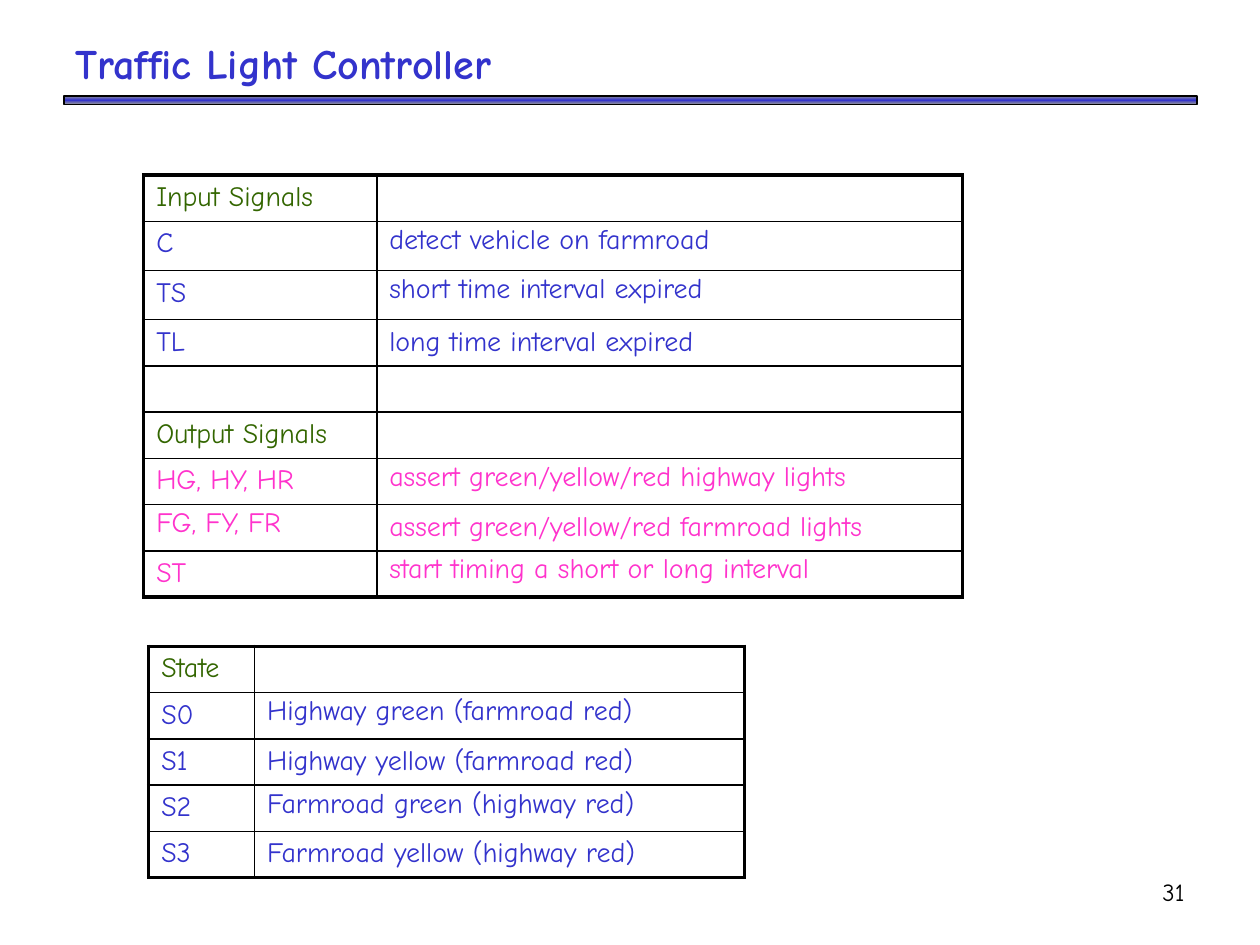
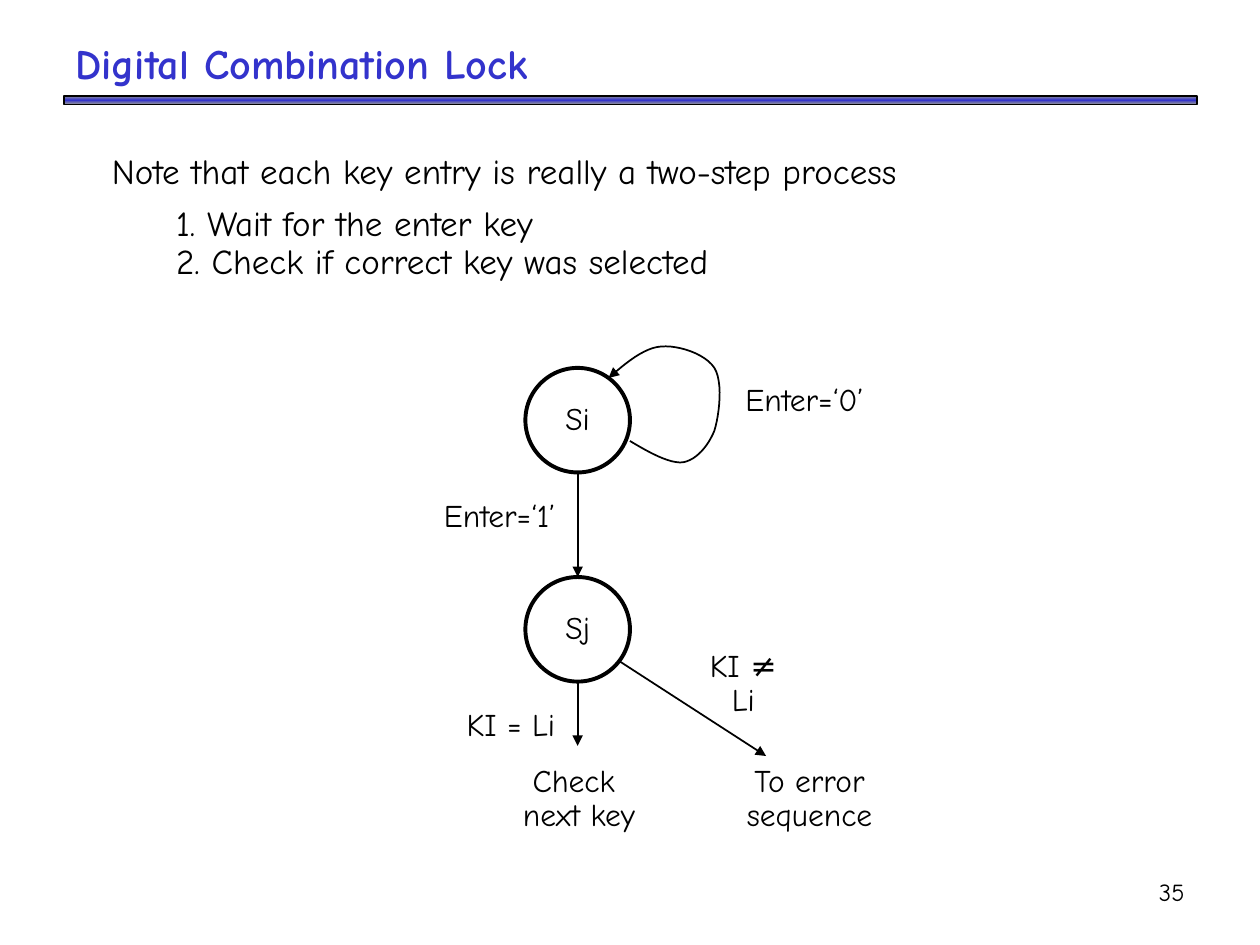
from copy import deepcopy

from lxml import etree
from pptx import Presentation
from pptx.dml.color import RGBColor
from pptx.enum.shapes import MSO_CONNECTOR, MSO_SHAPE
from pptx.enum.text import MSO_ANCHOR, PP_ALIGN
from pptx.oxml.ns import qn
from pptx.util import Inches, Pt

STRAIGHT = MSO_CONNECTOR.STRAIGHT
RECTANGLE, OVAL = MSO_SHAPE.RECTANGLE, MSO_SHAPE.OVAL
MIDDLE = MSO_ANCHOR.MIDDLE
LEFT, CENTER, RIGHT = PP_ALIGN.LEFT, PP_ALIGN.CENTER, PP_ALIGN.RIGHT

FONT = "Comic Neue"
COLORS = {"blue": "3333CC", "green": "336600", "pink": "FF33CC",
          "black": "000000", "white": "FFFFFF", "gray": "969696"}
TITLE_ONLY = 5
THICK, THIN = 2.25, 1
TIGHT = 0.85  # line spacing of the cells that sit a little higher

# Table rows: colour, height, texts, columns with tight line spacing
SIGNALS = {
    "at": (1.14, 1.39), "columns": (1.85, 4.65),
    "rows": [
        ("green", 0.33, ("Input Signals", ""), ()),
        ("blue", 0.39, ("C", "detect vehicle on farmroad"), (1,)),
        ("blue", 0.39, ("TS", "short time interval expired"), (1,)),
        ("blue", 0.33, ("TL", "long time interval expired"), ()),
        ("blue", 0.33, ("", ""), ()),
        ("green", 0.33, ("Output Signals", ""), ()),
        ("pink", 0.33, ("HG, HY, HR", "assert green/yellow/red highway lights"), (1,)),
        ("pink", 0.33, ("FG, FY, FR", "assert green/yellow/red farmroad lights"), (0,)),
        ("pink", 0.33, ("ST", "start timing a short or long interval"), (1,)),
    ],
}
STATES = {
    "at": (1.18, 5.13), "columns": (0.84, 3.89),
    "rows": [
        ("green", 0.33, ("State", ""), ()),
        ("blue", 0.34, ("S0", "Highway green (farmroad red)"), (1,)),
        ("blue", 0.33, ("S1", "Highway yellow (farmroad red)"), ()),
        ("blue", 0.34, ("S2", "Farmroad green (highway red)"), (1,)),
        ("blue", 0.33, ("S3", "Farmroad yellow (highway red)"), ()),
    ],
}

NOTE = "Note that each key entry is really a two-step process"
STEPS = ["1. Wait for the enter key", "2. Check if correct key was selected"]
STATE_LEFT, STATE_SIZE = 4.17, 0.83
STATE_TOPS = {"Si": 2.92, "Sj": 4.58}
# Labels: lines, box, whether the text wraps
LABELS = [
    (["Enter=‘0’"], (5.77, 3, 1.23, 0.37), False),
    (["Enter=‘1’"], (3.37, 3.92, 1.19, 0.37), False),
    (["KI = Li"], (3.57, 5.58, 0.97, 0.37), False),
    (["KI ≠ Li"], (5.5, 5.25, 0.8, 0.37), True),
    (["To error", "sequence"], (5.8, 6.02, 1.25, 0.64), False),
    (["Check ", "next key"], (3.99, 6.02, 1.21, 0.64), False),
]
LOOP_START = (5, 3.5)
LOOP_CURVES = [  # two control points and an end point each
    ((5.15, 3.59), (5.31, 3.68), (5.42, 3.67)),
    ((5.53, 3.65), (5.62, 3.54), (5.67, 3.42)),
    ((5.71, 3.29), (5.74, 3.03), (5.67, 2.92)),
    ((5.6, 2.81), (5.39, 2.74), (5.25, 2.75)),
    ((5.11, 2.76), (4.97, 2.88), (4.83, 3)),
]
CURVE_STEPS = 12


def rgb(color):
    return RGBColor.from_string(COLORS[color])


def inches(values):
    return [Inches(value) for value in values]


def write(paragraph, text, size, color="black", bold=False, **paragraph_format):
    run = paragraph.add_run()
    run.text = text
    run.font.color.rgb = rgb(color)
    for name, value in {"name": FONT, "size": Pt(size), "bold": bold}.items():
        setattr(run.font, name, value)
    for name, value in paragraph_format.items():
        setattr(paragraph, name, value)


def write_lines(frame, lines, size, wrap=True, **paragraph_format):
    frame.word_wrap = wrap
    frame.vertical_anchor = MIDDLE
    for index, line in enumerate(lines):
        paragraph = frame.add_paragraph() if index else frame.paragraphs[0]
        write(paragraph, line, size, **paragraph_format)


def set_line(shape, width):
    shape.line.color.rgb = rgb("black")
    shape.line.width = Pt(width)


def add_arrowhead(shape):
    line = shape._element.spPr.find(qn("a:ln"))
    etree.SubElement(line, qn("a:tailEnd"), type="triangle")


def add_band(slide):
    band = slide.shapes.add_shape(RECTANGLE, *inches((0.51, 0.76, 8.99, 0.07)))
    band.shadow.inherit = False
    set_line(band, THIN)
    band.fill.gradient()
    band.fill.gradient_angle = 90
    stop_list = band._element.spPr.find(qn("a:gradFill")).find(qn("a:gsLst"))
    stop_list.append(deepcopy(stop_list[-1]))
    for stop, color, position in zip(band.fill.gradient_stops,
                                     ("gray", "blue", "gray"), (0, 0.5, 1)):
        stop.color.rgb = rgb(color)
        stop.position = position


def add_slide(presentation, title_text, number):
    """Add a slide with the shared title, band and page number."""
    slide = presentation.slides.add_slide(presentation.slide_layouts[TITLE_ONLY])
    add_band(slide)
    title = slide.shapes.title
    title.left, title.top, title.width, title.height = inches((0.5, 0.25, 9, 0.5))
    title.text_frame.vertical_anchor = MIDDLE
    write(title.text_frame.paragraphs[0], title_text, 24, "blue", True, alignment=LEFT)
    page = slide.shapes.add_textbox(*inches((7.42, 6.83, 2.08, 0.5)))
    write_lines(page.text_frame, [str(number)], 14, alignment=RIGHT)
    return slide


def set_borders(cell, widths):
    properties = cell._tc.get_or_add_tcPr()
    for side, width in widths.items():
        line = etree.SubElement(properties, qn(f"a:ln{side}"), w=str(Pt(width)))
        fill = etree.SubElement(line, qn("a:solidFill"))
        etree.SubElement(fill, qn("a:srgbClr"), val=COLORS["black"])
    cell.fill.background()


def add_signal_table(slide, content):
    """Add a table with a thick frame and thin inner lines."""
    rows, columns = content["rows"], content["columns"]
    size = sum(columns), sum(row[1] for row in rows)
    table = slide.shapes.add_table(len(rows), len(columns),
                                   *inches(content["at"] + size)).table
    table.first_row = table.horz_banding = False
    for column, width in zip(table.columns, columns):
        column.width = Inches(width)
    last_row, last_column = len(rows) - 1, len(columns) - 1
    for r, (color, height, texts, tight_columns) in enumerate(rows):
        table.rows[r].height = Inches(height)
        for c, text in enumerate(texts):
            cell = table.cell(r, c)
            outer = {"L": c == 0, "R": c == last_column, "T": r == 0, "B": r == last_row}
            set_borders(cell, {side: THICK if edge else THIN
                               for side, edge in outer.items()})
            paragraph = cell.text_frame.paragraphs[0]
            if text:
                write(paragraph, text, 16, color,
                      line_spacing=TIGHT if c in tight_columns else None)
            else:
                etree.SubElement(paragraph._p, qn("a:endParaRPr"), sz="1600")


def add_state(slide, name, top):
    state = slide.shapes.add_shape(
        OVAL, *inches((STATE_LEFT, top, STATE_SIZE, STATE_SIZE)))
    state.shadow.inherit = False
    state.fill.solid()
    state.fill.fore_color.rgb = rgb("white")
    set_line(state, THICK)
    write_lines(state.text_frame, [name], 18, wrap=False,
                alignment=CENTER, line_spacing=0.9)
    return state


def add_arrow(slide, start, end):
    arrow = slide.shapes.add_connector(STRAIGHT, *inches(start + end))
    set_line(arrow, THIN)
    add_arrowhead(arrow)
    etree.SubElement(arrow._element.spPr, qn("a:effectLst"))
    return arrow


def curve_points(start, curves):
    """Yield points along a chain of cubic Bézier curves."""
    for first, second, end in curves:
        for step in range(1, CURVE_STEPS + 1):
            t = step / CURVE_STEPS
            u = 1 - t
            yield inches(u**3 * a + 3 * u * u * t * b + 3 * u * t * t * c + t**3 * d
                         for a, b, c, d in zip(start, first, second, end))
        start = end


def add_loop(slide):
    builder = slide.shapes.build_freeform(*inches(LOOP_START))
    builder.add_line_segments(curve_points(LOOP_START, LOOP_CURVES), close=False)
    loop = builder.convert_to_shape()
    loop.shadow.inherit = False
    loop.fill.background()
    set_line(loop, THIN)
    add_arrowhead(loop)


def build_traffic_slide(presentation):
    slide = add_slide(presentation, "Traffic Light Controller", 31)
    for content in (SIGNALS, STATES):
        add_signal_table(slide, content)


def build_lock_slide(presentation):
    slide = add_slide(presentation, "Digital Combination Lock", 35)
    body = slide.shapes.add_textbox(*inches((0.79, 1.17, 7.14, 1.12))).text_frame
    write_lines(body, [NOTE] + STEPS, 20, line_spacing=0.9)
    for paragraph in body.paragraphs[1:]:
        paragraph._p.get_or_add_pPr().set("marL", str(Inches(0.51)))
    body.paragraphs[1].space_before = Pt(8)

    states = {name: add_state(slide, name, top) for name, top in STATE_TOPS.items()}
    center = STATE_LEFT + STATE_SIZE / 2
    si_bottom, sj_bottom = (top + STATE_SIZE for top in STATE_TOPS.values())
    enter_arrow = add_arrow(slide, (center, si_bottom), (center, STATE_TOPS["Sj"]))
    enter_arrow.end_connect(states["Sj"], 0)
    add_loop(slide)
    add_arrow(slide, (center, sj_bottom), (center, 5.92))
    add_arrow(slide, (4.92, 5.25), (6.08, 6))

    for lines, box, wrap in LABELS:
        label = slide.shapes.add_textbox(*inches(box))
        write_lines(label.text_frame, lines, 18, wrap=wrap,
                    alignment=CENTER, line_spacing=0.9)


def main():
    presentation = Presentation()
    presentation.slide_width, presentation.slide_height = inches((10, 7.5))
    build_traffic_slide(presentation)
    build_lock_slide(presentation)
    presentation.save("out.pptx")


if __name__ == "__main__":
    main()
